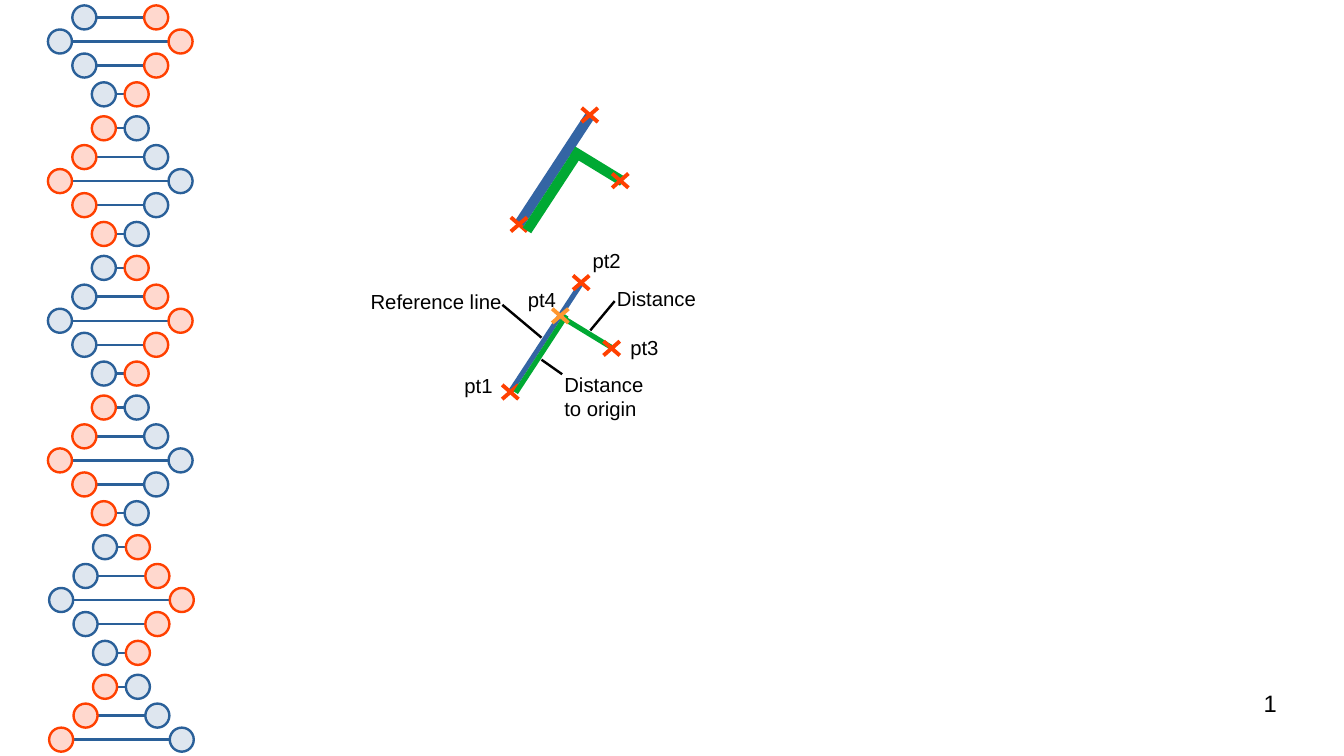
import pptx
import pptx.dml.color
import pptx.enum.shapes
import pptx.enum.text
import pptx.oxml
import pptx.util

Pt = pptx.util.Pt
RGBColor = pptx.dml.color.RGBColor
MSO_SHAPE = pptx.enum.shapes.MSO_SHAPE
MSO_CONNECTOR = pptx.enum.shapes.MSO_CONNECTOR
PP_ALIGN = pptx.enum.text.PP_ALIGN

BLACK = RGBColor(0x00, 0x00, 0x00)
STRAND_BLUE = RGBColor(0x2A, 0x60, 0x99)
PALE_BLUE = RGBColor(0xDE, 0xE6, 0xEF)
RED = RGBColor(0xFF, 0x40, 0x00)
PALE_RED = RGBColor(0xFF, 0xD8, 0xCE)
LINE_BLUE = RGBColor(0x34, 0x65, 0xA4)
GREEN = RGBColor(0x00, 0xA9, 0x33)
ORANGE = RGBColor(0xFF, 0x97, 0x2F)

SLIDE_W, SLIDE_H = 793.44, 446.4
THIN = 1.42


def add_text(s, text, x, y, w, h, size=12, align=PP_ALIGN.LEFT, inset=(7.2, 3.6)):
    """Add a text box with one paragraph per line of text."""
    sp = s.shapes.add_textbox(Pt(x), Pt(y), Pt(w), Pt(h))
    tf = sp.text_frame
    tf.word_wrap = True
    tf.margin_left = tf.margin_right = Pt(inset[0])
    tf.margin_top = tf.margin_bottom = Pt(inset[1])
    tf.text = text
    for p in tf.paragraphs:
        p.alignment = align
        for r in p.runs:
            r.font.name = "Arial"
            r.font.size = Pt(size)
            r.font.color.rgb = BLACK


def add_line(s, x1, y1, x2, y2, color, width=THIN):
    """Add a straight line without a shadow."""
    sp = s.shapes.add_connector(MSO_CONNECTOR.STRAIGHT, Pt(x1), Pt(y1), Pt(x2), Pt(y2))
    sp.line.color.rgb = color
    sp.line.width = Pt(width)
    sp._element.spPr.append(pptx.oxml.parse_xml(
        '<a:effectLst xmlns:a="http://schemas.openxmlformats.org/drawingml/2006/main"/>'))


def add_cross(s, x, y, color=RED):
    """Mark a point with two crossing strokes."""
    dx, dy = 4.8, 4.2
    add_line(s, x + dx, y - dy, x - dx, y + dy, color, 2.3)
    add_line(s, x - dx, y - dy, x + dx, y + dy, color, 2.3)


def add_base(s, x, y, radius, fill, outline):
    """Add one circle of the helix around its centre."""
    sp = s.shapes.add_shape(MSO_SHAPE.OVAL, Pt(x - radius), Pt(y - radius),
                            Pt(2 * radius), Pt(2 * radius))
    sp.shadow.inherit = False
    sp.fill.solid()
    sp.fill.fore_color.rgb = fill
    sp.line.color.rgb = outline
    sp.line.width = Pt(THIN)


def add_helix(s, x, y, w, h):
    """Fill the box with half turns whose strands swap sides each time."""
    radius, half_turn, first = 7.1, 82.45, 24.5
    rungs = ((-31.2, 9.7), (-14.2, 21.2), (0, 35.6), (14.2, 21.2), (31.2, 9.7))
    strands = [(PALE_BLUE, STRAND_BLUE), (PALE_RED, RED)]
    for turn in range(6):
        left, right = strands if turn % 2 == 0 else strands[::-1]
        cx = x + w / 2 + (0.7 if turn > 3 else 0)
        for offset, reach in rungs:
            cy = y + first + turn * half_turn + offset
            if y <= cy - radius and cy + radius <= y + h:
                add_line(s, cx - reach + radius, cy, cx + reach - radius, cy, STRAND_BLUE)
                add_base(s, cx - reach, cy, radius, *left)
                add_base(s, cx + reach, cy, radius, *right)


def add_sketch(s, x, y, weight, gap):
    """Draw the reference line and the green path to the third point."""
    base = y + 65
    add_line(s, x + 42.2, y + 0.4, x - 0.4, base + 0.4, LINE_BLUE, weight)
    add_cross(s, x + 41.8, y + 0.4)
    add_cross(s, x, base)
    gx, gy = gap
    add_line(s, x + gx, base + gy, x + gx + 29.9, base + gy - 45.7, GREEN, weight)
    add_line(s, x + 31.7, y + 21.6, x + 61.2, y + 39.6, GREEN, weight)
    add_cross(s, x + 59.8, y + 39.2)


def add_labels(s, x, y):
    """Name the points and lines of the sketch in the given place."""
    labels = (("pt1", -34.2, 50.2, 41.8), ("pt2", 41.4, -23.2, 41.8),
              ("pt3", 63.7, 27.9, 41.8), ("pt4", 3.2, -0.2, 41.8),
              ("Reference line", -89.6, 0.5, 95), ("Distance", 55.8, -0.9, 95),
              ("Distance\nto origin", 24.8, 49.5, 95))
    for text, dx, dy, w in labels:
        add_text(s, text, x + dx, y + dy, w, 33.8 if "\n" in text else 20.9)
    leaders = ((18.4, 32.9, -4.7, 13.5), (47.2, 28.6, 61.6, 11.3), (30.6, 54.5, 18.4, 45.9))
    for x1, y1, x2, y2 in leaders:
        add_line(s, x + x1, y + y1, x + x2, y + y2, BLACK)
    add_cross(s, x + 29.5, y + 20, ORANGE)


def main():
    """Build the slide and save it."""
    prs = pptx.Presentation()
    prs.slide_width, prs.slide_height = Pt(SLIDE_W), Pt(SLIDE_H)
    s = prs.slides.add_slide(prs.slide_layouts[6])
    add_helix(s, 28, 0, 86, SLIDE_H)
    add_sketch(s, 306.4, 67.5, weight=6, gap=(4.7, 3.6))
    add_sketch(s, 301.3, 166.5, weight=3, gap=(3.2, 0.4))
    add_labels(s, 301.3, 166.5)
    add_text(s, "1", 568.8, 406.8, 185, 31, size=14, align=PP_ALIGN.RIGHT, inset=(0, 0))
    prs.save("out.pptx")


if __name__ == "__main__":
    main()
